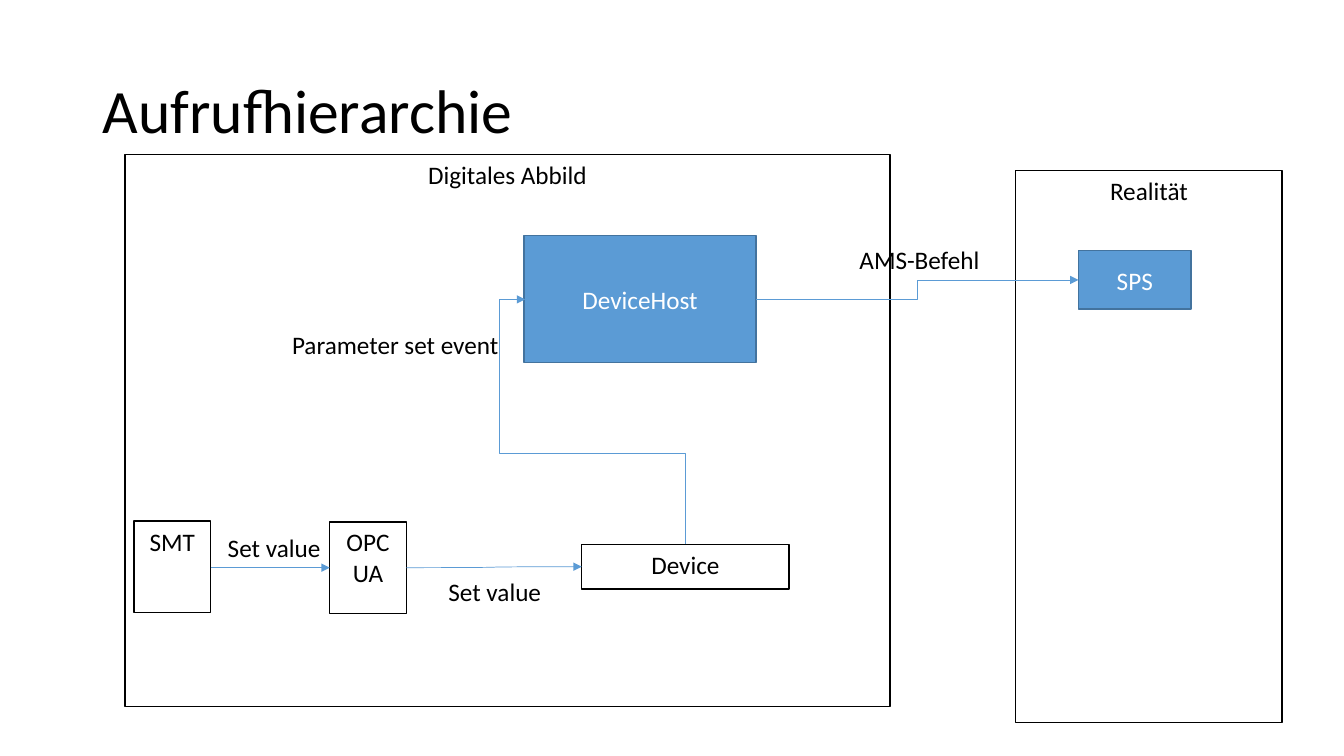
from lxml.etree import SubElement
from pptx import Presentation
from pptx.dml.color import RGBColor
from pptx.enum.shapes import MSO_CONNECTOR, MSO_SHAPE
from pptx.enum.text import MSO_ANCHOR, PP_ALIGN
from pptx.oxml.ns import qn
from pptx.util import Cm, Pt

BLACK, WHITE, BLUE, DARK_BLUE = "000000", "FFFFFF", "5B9BD5", "43739E"
LEFT_SITE, RIGHT_SITE = 1, 3


def color(value):
    return RGBColor.from_string(value)


class Diagram:
    """Draws boxes, labels and arrows on one slide in a shared style."""

    font = "Calibri"

    def __init__(self, page):
        self.page = page

    def add_text(self, shape, text, size, ink, anchor, align):
        frame = shape.text_frame
        frame.word_wrap = True
        frame.vertical_anchor = anchor
        para = frame.paragraphs[0]
        para.alignment = align
        span = para.add_run()
        span.text = text
        span.font.name = self.font
        span.font.size = Pt(size)
        span.font.color.rgb = color(ink)
        return para

    def box(self, text, left, top, width, height, fill=WHITE, line=BLACK,
            ink=BLACK, anchor=MSO_ANCHOR.TOP):
        box = self.page.shapes.add_shape(
            MSO_SHAPE.RECTANGLE, Cm(left), Cm(top), Cm(width), Cm(height))
        box.shadow.inherit = False
        box.fill.solid()
        box.fill.fore_color.rgb = color(fill)
        box.line.color.rgb = color(line)
        box.line.width = Pt(1)
        self.add_text(box, text, 18, ink, anchor, PP_ALIGN.CENTER)
        return box

    def blue_box(self, text, left, top, width, height):
        return self.box(text, left, top, width, height, BLUE, DARK_BLUE,
                        WHITE, MSO_ANCHOR.MIDDLE)

    def label(self, text, left, top, width, height=1.02, size=18,
              anchor=MSO_ANCHOR.TOP):
        label = self.page.shapes.add_textbox(
            Cm(left), Cm(top), Cm(width), Cm(height))
        return self.add_text(label, text, size, BLACK, anchor, PP_ALIGN.LEFT)

    def arrow(self, kind, *ends):
        arrow = self.page.shapes.add_connector(kind, *map(Cm, ends))
        arrow.line.color.rgb = color(BLUE)
        arrow.line.width = Pt(0.5)
        outline = arrow._element.spPr.find(qn("a:ln"))
        SubElement(outline, qn("a:tailEnd"), type="triangle")
        SubElement(arrow._element.spPr, qn("a:effectLst"))
        return arrow

    def link(self, source, target, kind=MSO_CONNECTOR.ELBOW):
        arrow = self.arrow(kind, 0, 0, 1, 1)
        arrow.begin_connect(source, RIGHT_SITE)
        arrow.end_connect(target, LEFT_SITE)

    def detour(self, *ends, rotation, bends):
        arrow = self.arrow(MSO_CONNECTOR.ELBOW, *ends)
        arrow.rotation = rotation
        geometry = arrow._element.spPr.find(qn("a:prstGeom"))
        geometry.set("prst", "bentConnector4")
        guides = geometry.find(qn("a:avLst"))
        for number, bend in enumerate(bends, 1):
            SubElement(guides, qn("a:gd"), name=f"adj{number}",
                       fmla=f"val {round(bend * 100000)}")


deck = Presentation()
deck.slide_width, deck.slide_height = Cm(33.87), Cm(19.05)
diagram = Diagram(deck.slides.add_slide(deck.slide_layouts[6]))

diagram.box("Realität", 25.6, 4.29, 6.71, 13.92)
diagram.box("Digitales Abbild", 3.15, 3.89, 19.28, 13.92)
title = diagram.label("Aufrufhierarchie", 2.34, 1.02, 25.58, 3.68, 44,
                      MSO_ANCHOR.MIDDLE)
title.line_spacing = 0.9

device = diagram.box("Device", 14.66, 13.72, 5.23, 1.12)
host = diagram.blue_box("DeviceHost", 13.21, 5.94, 5.84, 3.2)
plc = diagram.blue_box("SPS", 27.18, 6.32, 2.84, 1.47)
smt = diagram.box("SMT", 3.38, 13.13, 1.93, 2.31)
opc_ua = diagram.box("OPC UA", 8.31, 13.15, 1.93, 2.31)

diagram.link(host, plc)
diagram.link(smt, opc_ua)
diagram.link(opc_ua, device, MSO_CONNECTOR.CURVE)
diagram.detour(12.17, 12.65, 18.34, 8.61, rotation=270, bends=(0.37, 1.16))

diagram.label("AMS-Befehl", 21.41, 6.02, 4.14)
diagram.label("Parameter set event", 7.11, 8.18, 7.54)
for left, top in ((5.49, 13.28), (11.05, 14.4)):
    diagram.label("Set value", left, top, 3)

deck.save("out.pptx")
